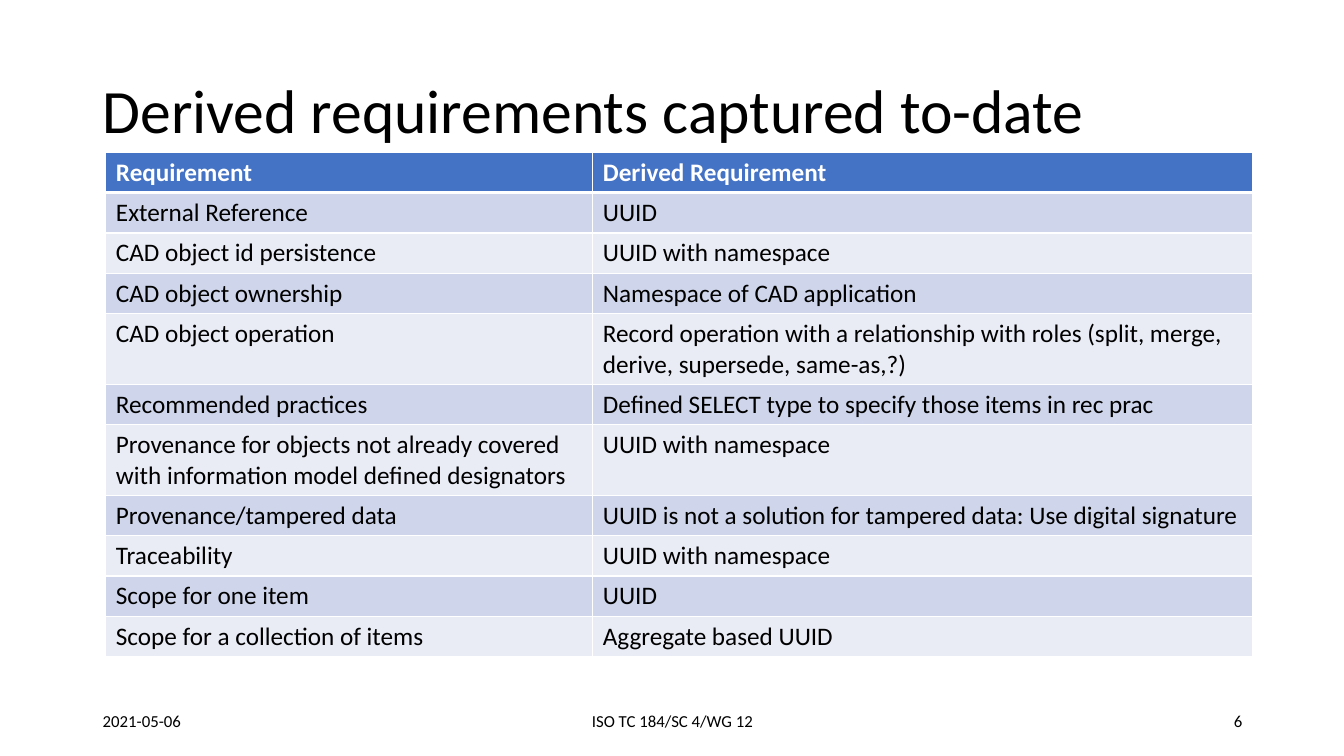
from dataclasses import dataclass

from lxml.etree import SubElement
from pptx import Presentation
from pptx.dml.color import RGBColor
from pptx.enum.text import MSO_ANCHOR, PP_ALIGN
from pptx.oxml.ns import qn
from pptx.util import Inches, Pt

BLACK, WHITE, BLUE = "000000", "FFFFFF", "4472C4"
BANDS = ("CFD5EA", "E9EBF5")


@dataclass
class Label:
    text: str
    left: float
    top: float
    width: float
    height: float
    size: int = 12
    align: PP_ALIGN = PP_ALIGN.LEFT
    spacing: float = 1.0


LABELS = [
    Label("Derived requirements captured to-date", 0.92, 0.4, 11.5, 1.45, 44, spacing=0.9),
    Label("2021-05-06", 0.92, 6.95, 3, 0.4),
    Label("ISO TC 184/SC 4/WG 12", 4.42, 6.95, 4.5, 0.4, align=PP_ALIGN.CENTER),
    Label("6", 9.42, 6.95, 3, 0.4, align=PP_ALIGN.RIGHT),
]

ROWS = [
    ("Requirement", "Derived Requirement"),
    ("External Reference", "UUID"),
    ("CAD object id persistence", "UUID with namespace"),
    ("CAD object ownership", "Namespace of CAD application"),
    ("CAD object operation",
     "Record operation with a relationship with roles (split, merge, derive, supersede, same-as,?)"),
    ("Recommended practices", "Defined SELECT type to specify those items in rec prac"),
    ("Provenance for objects not already covered with information model defined designators",
     "UUID with namespace"),
    ("Provenance/tampered data",
     "UUID is not a solution for tampered data: Use digital signature"),
    ("Traceability", "UUID with namespace"),
    ("Scope for one item", "UUID"),
    ("Scope for a collection of items", "Aggregate based UUID"),
]


def paint(target, color: str) -> None:
    target.rgb = RGBColor.from_string(color)


def write(frame, text: str, size: int, color: str = BLACK, bold: bool = False) -> None:
    run = frame.paragraphs[0].add_run()
    run.text = text
    style = {"name": "Calibri", "size": Pt(size), "bold": bold}
    for key, value in style.items():
        setattr(run.font, key, value)
    paint(run.font.color, color)


def add_label(slide, label: Label) -> None:
    box = slide.shapes.add_textbox(Inches(label.left), Inches(label.top),
                                   Inches(label.width), Inches(label.height))
    frame = box.text_frame
    frame.word_wrap = True
    frame.vertical_anchor = MSO_ANCHOR.MIDDLE
    write(frame, label.text, label.size)
    frame.paragraphs[0].alignment = label.align
    frame.paragraphs[0].line_spacing = label.spacing


def add_border(cell, side: str, width: int) -> None:
    line = SubElement(cell._tc.get_or_add_tcPr(), qn(f"a:ln{side}"), w=str(Pt(width)))
    fill = SubElement(line, qn("a:solidFill"))
    SubElement(fill, qn("a:srgbClr"), val=WHITE)


def fill_cell(cell, text: str, row: int) -> None:
    head = row == 0
    write(cell.text_frame, text, 18, WHITE if head else BLACK, head)
    # Borders come before the fill; the header rule is thicker
    widths = {"L": 1, "R": 1, "T": 3 if row == 1 else 1, "B": 3 if head else 1}
    for side, width in widths.items():
        add_border(cell, side, width)
    cell.fill.solid()
    paint(cell.fill.fore_color, BLUE if head else BANDS[(row - 1) % 2])


deck = Presentation()
deck.slide_width, deck.slide_height = Inches(13.33), Inches(7.5)
slide = deck.slides.add_slide(deck.slide_layouts[6])

# Title and footer
for label in LABELS:
    add_label(slide, label)

# Requirements table: rows grow where the text wraps
HEIGHT = 0.4
table = slide.shapes.add_table(len(ROWS), 2, Inches(1.05), Inches(1.51),
                               Inches(11.37), Inches(HEIGHT * len(ROWS))).table
for column, width in zip(table.columns, (4.83, 6.54)):
    column.width = Inches(width)
for row, texts in enumerate(ROWS):
    table.rows[row].height = Inches(HEIGHT)
    for col, text in enumerate(texts):
        fill_cell(table.cell(row, col), text, row)

deck.save("out.pptx")
